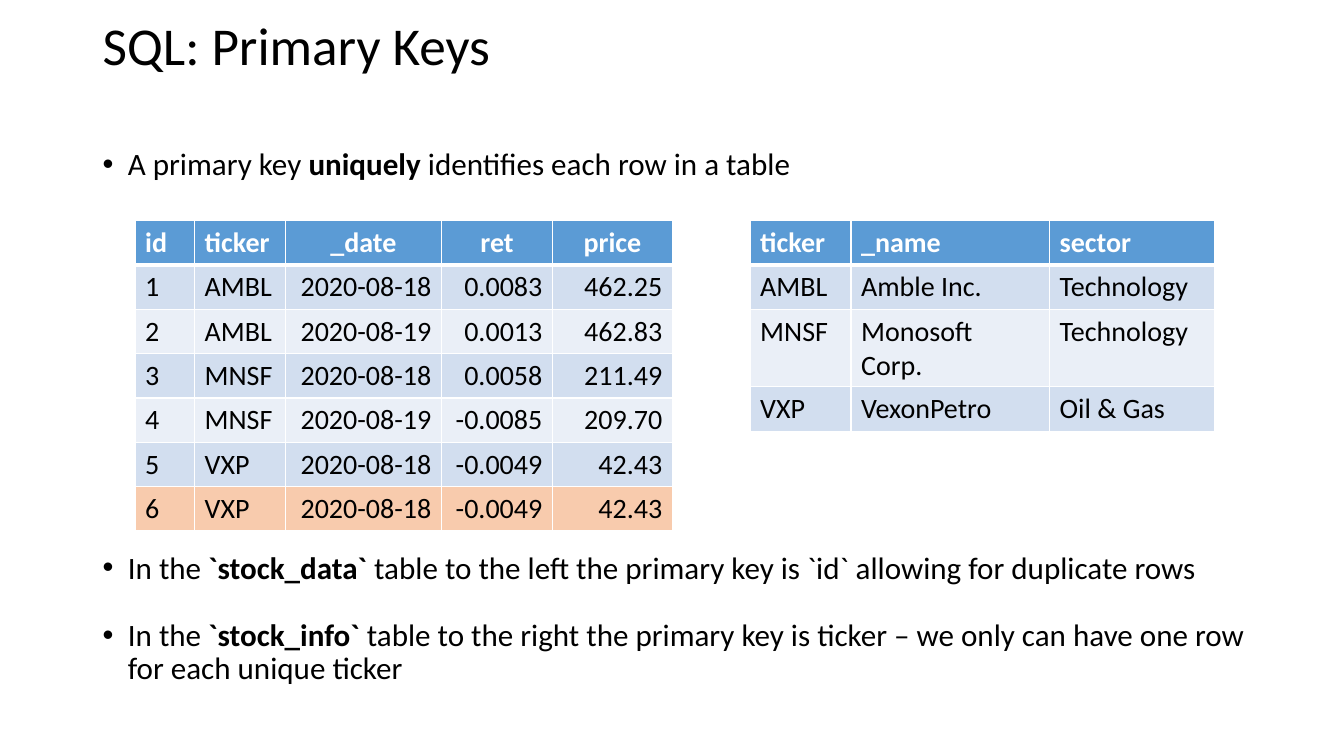
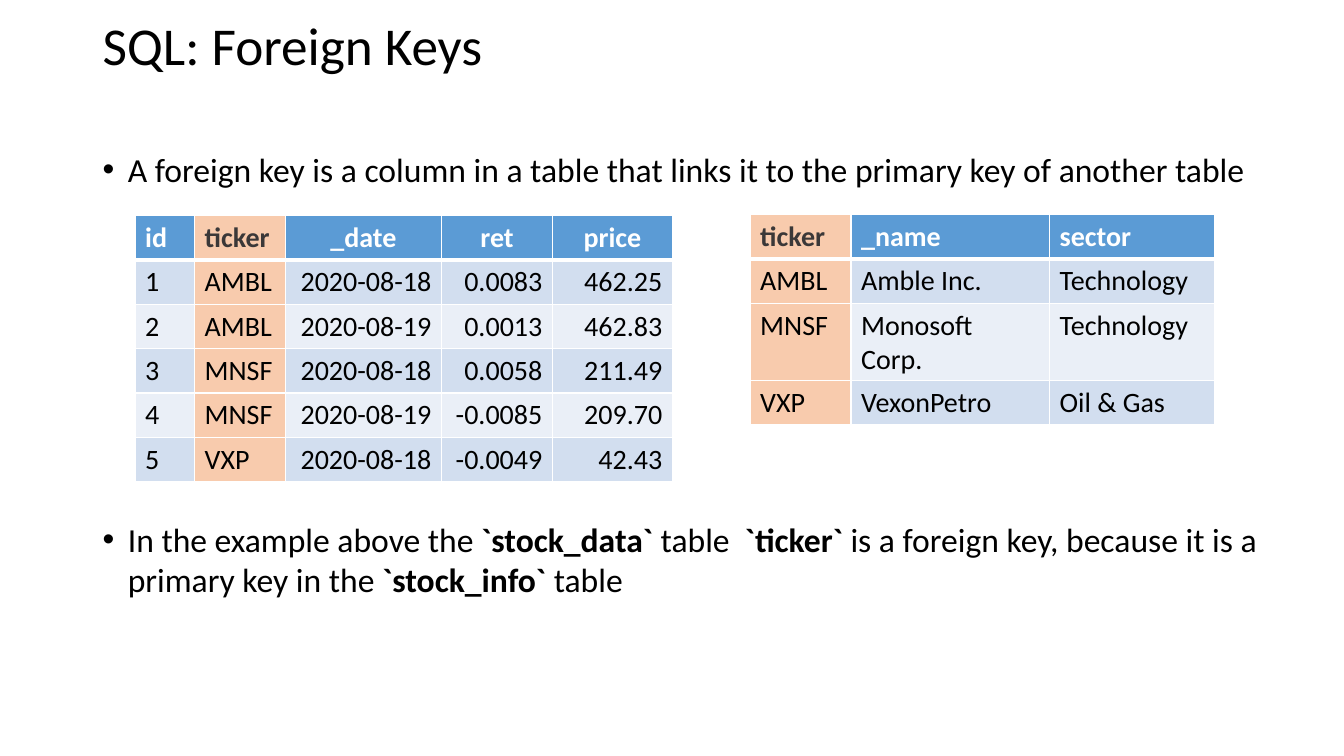
from lxml.etree import SubElement
from pptx import Presentation
from pptx.dml.color import RGBColor
from pptx.enum.text import MSO_ANCHOR, PP_ALIGN
from pptx.oxml.ns import qn
from pptx.util import Inches, Pt

FONT = "Calibri"
COLORS = {
    "text": "000000",
    "header": "5B9BD5",
    "header_text": "FFFFFF",
    "odd_row": "D2DEEF",
    "even_row": "EAEFF7",
    "highlight": "F8CBAD",
    "highlight_text": "3B3838",
    "border": "FFFFFF",
}
ROW_HEIGHT = 0.44
BULLET_INDENT = 0.25

STOCK_DATA = [
    ("id", "ticker", "_date", "ret", "price"),
    ("1", "AMBL", "2020-08-18", "0.0083", "462.25"),
    ("2", "AMBL", "2020-08-19", "0.0013", "462.83"),
    ("3", "MNSF", "2020-08-18", "0.0058", "211.49"),
    ("4", "MNSF", "2020-08-19", "-0.0085", "209.70"),
    ("5", "VXP", "2020-08-18", "-0.0049", "42.43"),
]
DUPLICATE_ROW = ("6",) + STOCK_DATA[-1][1:]
STOCK_INFO = [
    ("ticker", "_name", "sector"),
    ("AMBL", "Amble Inc.", "Technology"),
    ("MNSF", "Monosoft Corp.", "Technology"),
    ("VXP", "VexonPetro", "Oil & Gas"),
]
DATA_LAYOUT = {"left": 1.34, "widths": (0.59, 0.9, 1.55, 1.1, 1.19), "first_numeric": 2}
INFO_LAYOUT = {"left": 7.44, "widths": (1, 1.97, 1.64), "first_numeric": 3}


def rgb(name):
    return RGBColor.from_string(COLORS[name])


def add_run(paragraph, text, size, bold=False, color="text"):
    run = paragraph.add_run()
    run.text = text
    font_format = {"name": FONT, "size": Pt(size), "bold": bold}
    for attribute, value in font_format.items():
        setattr(run.font, attribute, value)
    run.font.color.rgb = rgb(color)


def add_text_frame(slide, left, top, width, height, anchor):
    shape = slide.shapes.add_textbox(Inches(left), Inches(top), Inches(width), Inches(height))
    text_frame = shape.text_frame
    text_frame.word_wrap = True
    text_frame.vertical_anchor = anchor
    return text_frame


def add_title(slide, text):
    text_frame = add_text_frame(slide, 0.92, 0, 11.5, 0.96, MSO_ANCHOR.MIDDLE)
    paragraph = text_frame.paragraphs[0]
    paragraph.line_spacing = 0.9
    add_run(paragraph, text, 38)


def make_bullet(paragraph):
    properties = paragraph._p.get_or_add_pPr()
    properties.set("marL", str(Inches(BULLET_INDENT)))
    properties.set("indent", str(-Inches(BULLET_INDENT)))
    SubElement(properties, qn("a:buFont"), typeface="Arial")
    SubElement(properties, qn("a:buChar"), char="•")


def add_bullets(slide, bullets, size, line_spacing, table_gap):
    text_frame = add_text_frame(slide, 0.92, 1.43, 11.9, 5.81, MSO_ANCHOR.TOP)
    for index, bullet in enumerate(bullets):
        paragraph = text_frame.add_paragraph() if index else text_frame.paragraphs[0]
        paragraph_format = {
            "line_spacing": line_spacing,
            "space_before": Pt(table_gap if index == 1 else 12),
            "space_after": Pt(12),
        }
        for attribute, value in paragraph_format.items():
            setattr(paragraph, attribute, value)
        make_bullet(paragraph)
        for part, text in enumerate(bullet.split("**")):
            add_run(paragraph, text, size, bold=part % 2 == 1)


def set_borders(cell, row):
    properties = cell._tc.get_or_add_tcPr()
    widths = {"L": 1, "R": 1, "T": 3 if row == 1 else 1, "B": 3 if row == 0 else 1}
    for side, width in widths.items():
        line = SubElement(properties, qn(f"a:ln{side}"), w=str(Pt(width)))
        fill = SubElement(line, qn("a:solidFill"))
        SubElement(fill, qn("a:srgbClr"), val=COLORS["border"])


def fill_cell(cell, text, row, highlighted, numeric):
    set_borders(cell, row)
    if row == 0:
        fill, color = "header", "highlight_text" if highlighted else "header_text"
    else:
        fill, color = "odd_row" if row % 2 else "even_row", "text"
    cell.fill.solid()
    cell.fill.fore_color.rgb = rgb("highlight" if highlighted else fill)
    paragraph = cell.text_frame.paragraphs[0]
    if numeric:
        paragraph.alignment = PP_ALIGN.RIGHT if row else PP_ALIGN.CENTER
    add_run(paragraph, text, 20, bold=row == 0, color=color)


def add_data_table(slide, rows, layout, top, highlight_row=None, highlight_column=None):
    widths = layout["widths"]
    frame = slide.shapes.add_table(
        len(rows), len(widths), Inches(layout["left"]), Inches(top),
        Inches(sum(widths)), Inches(ROW_HEIGHT * len(rows)),
    )
    table = frame.table
    for column, width in zip(table.columns, widths):
        column.width = Inches(width)
    for row, values in enumerate(rows):
        for column, text in enumerate(values):
            highlighted = row == highlight_row or column == highlight_column
            numeric = column >= layout["first_numeric"]
            fill_cell(table.cell(row, column), text, row, highlighted, numeric)


def add_primary_keys(slide):
    add_title(slide, "SQL: Primary Keys")
    bullets = [
        "A primary key **uniquely** identifies each row in a table",
        "In the **`stock_data` **table to the left the primary key is `id` allowing for duplicate rows",
        "In the **`stock_info` **table to the right the primary key is ticker – "
        "we only can have one row for each unique ticker",
    ]
    add_bullets(slide, bullets, 22.2, 0.9, 252)
    add_data_table(slide, STOCK_DATA + [DUPLICATE_ROW], DATA_LAYOUT, 2.19, highlight_row=6)
    add_data_table(slide, STOCK_INFO, INFO_LAYOUT, 2.19)


def add_foreign_keys(slide):
    add_title(slide, "SQL: Foreign Keys")
    bullets = [
        "A foreign key is a column in a table that links it to the primary key of another table",
        "In the example above the **`stock_data`** table  **`ticker`** is a foreign key, "
        "because it is a primary key in the **`stock_info`** table",
    ]
    add_bullets(slide, bullets, 24, 1.0, 223)
    add_data_table(slide, STOCK_DATA, DATA_LAYOUT, 2.14, highlight_column=1)
    add_data_table(slide, STOCK_INFO, INFO_LAYOUT, 2.13, highlight_column=0)


def main():
    presentation = Presentation()
    presentation.slide_width = Inches(13.33)
    presentation.slide_height = Inches(7.5)
    for build in (add_primary_keys, add_foreign_keys):
        build(presentation.slides.add_slide(presentation.slide_layouts[6]))
    presentation.save("out.pptx")


if __name__ == "__main__":
    main()
